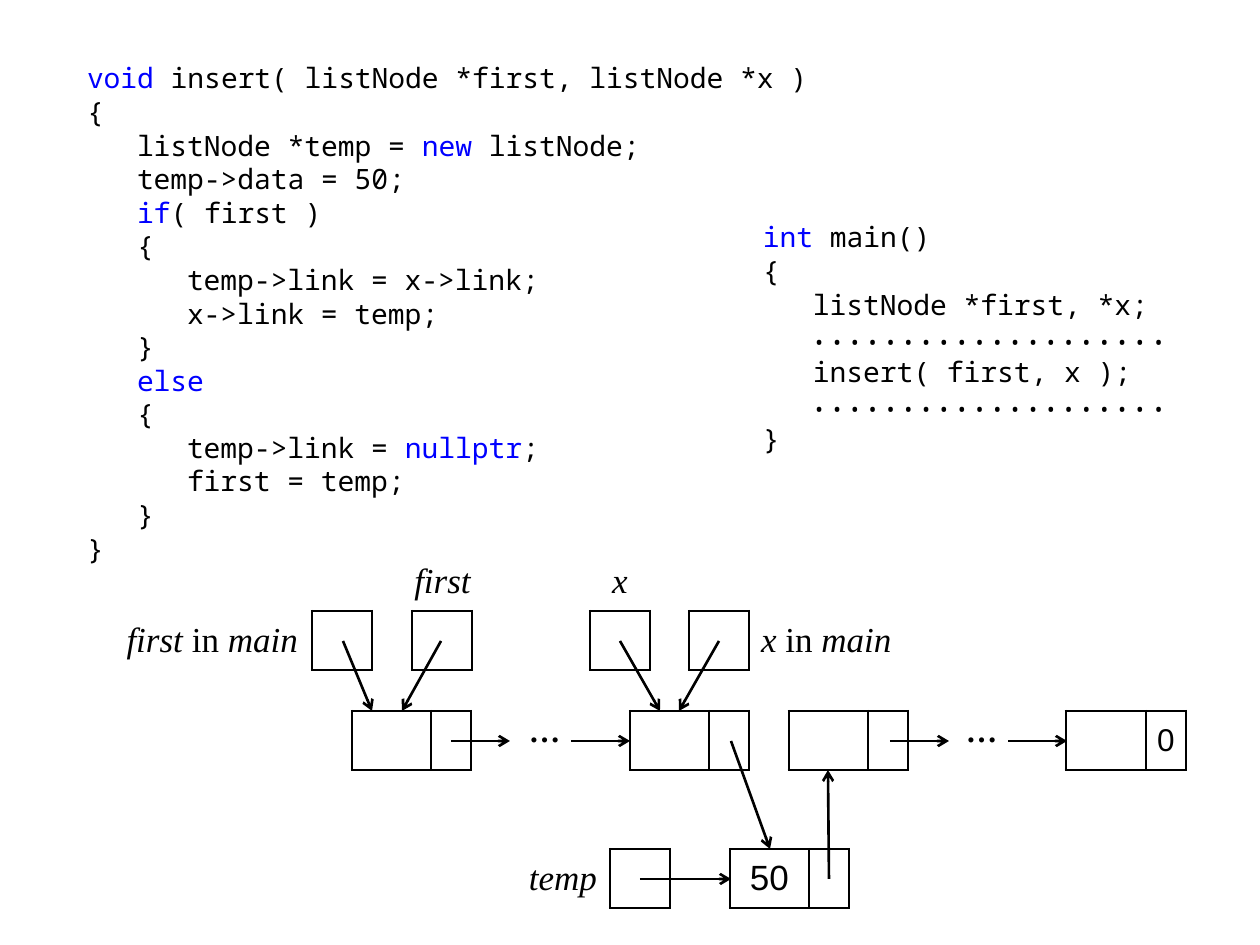
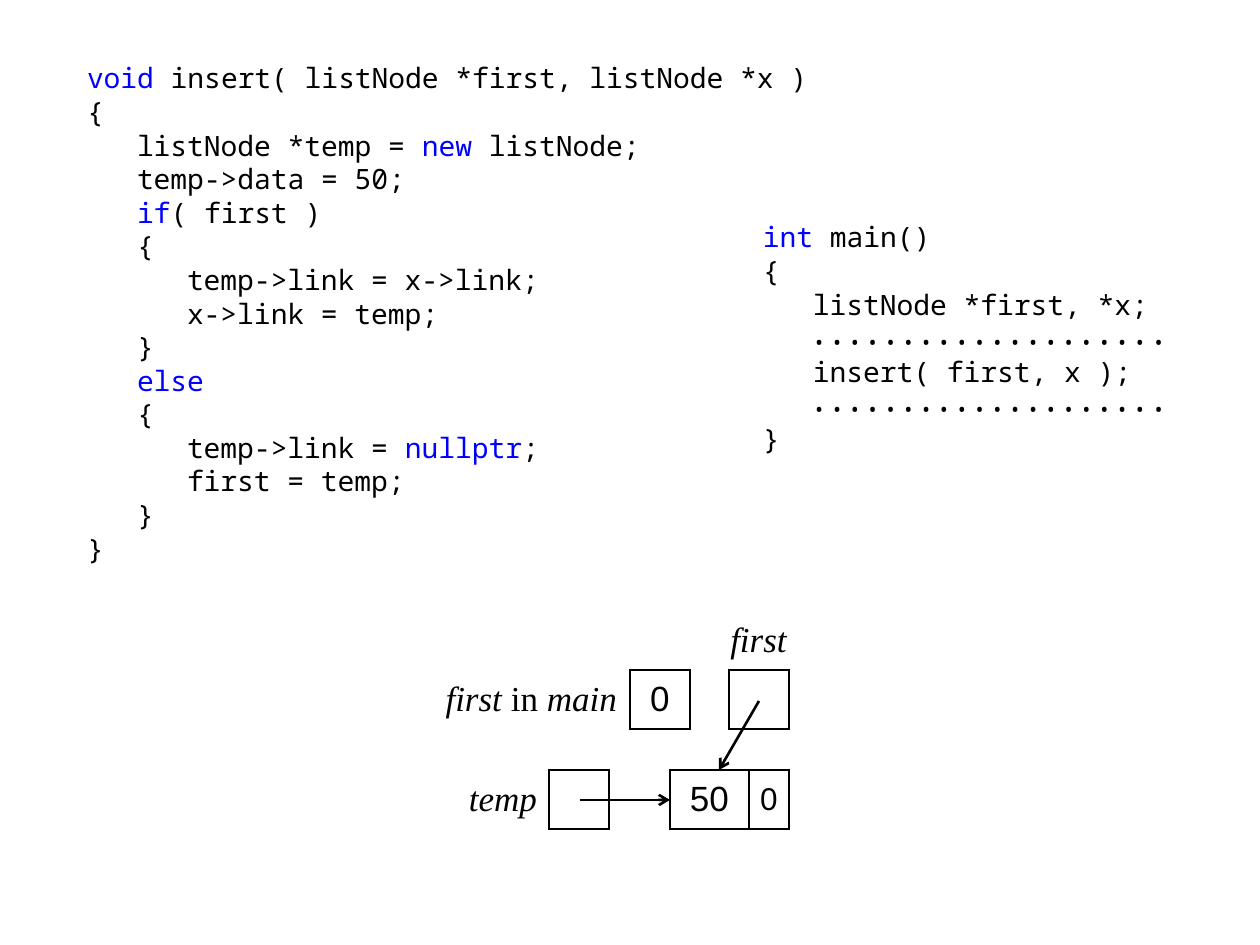
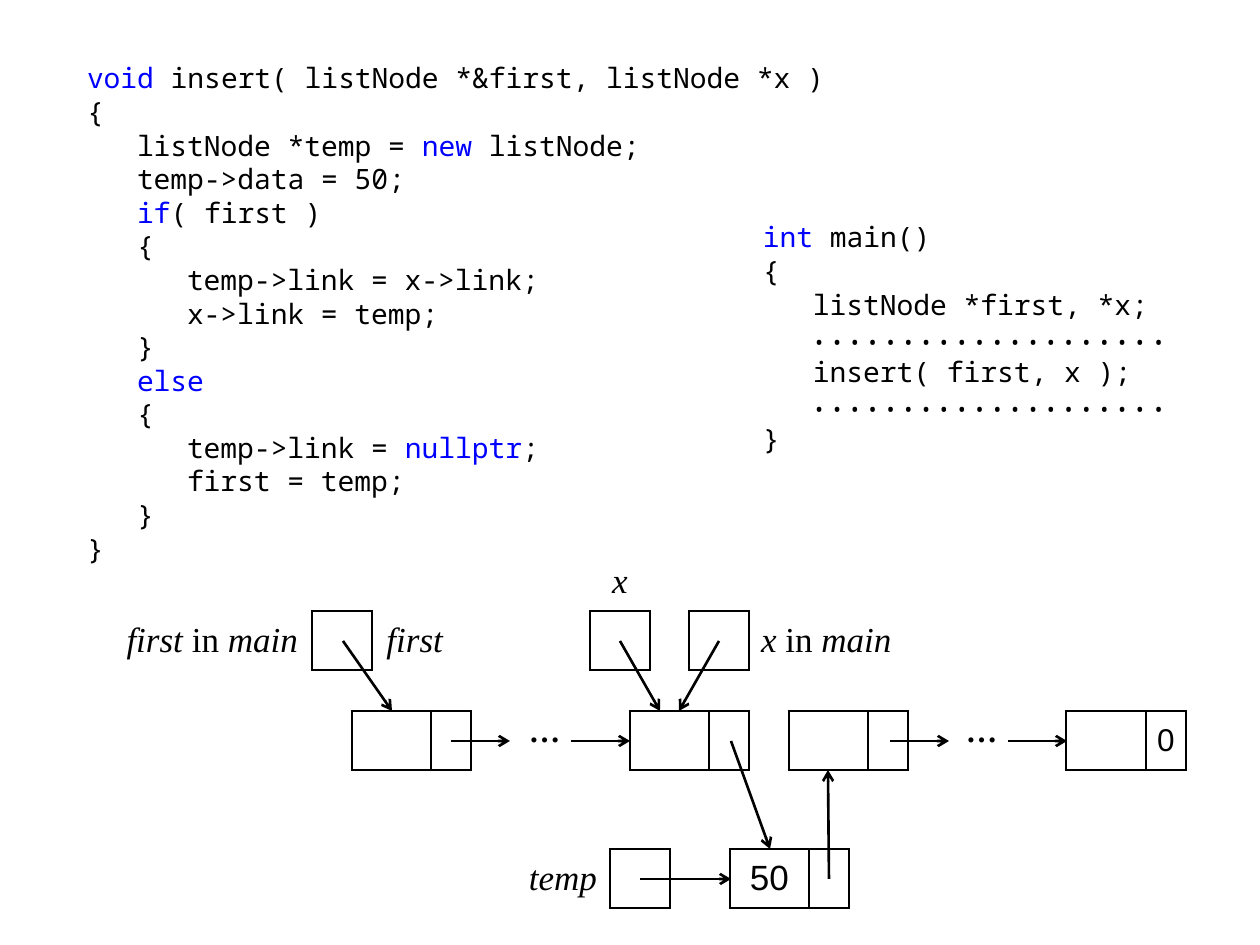
from lxml.etree import SubElement as Sub
from pptx import Presentation
from pptx.dml.color import RGBColor as Rgb
from pptx.enum.shapes import MSO_CONNECTOR as Link
from pptx.enum.text import MSO_ANCHOR as Anchor, MSO_AUTO_SIZE as Fit, PP_ALIGN as Align
from pptx.oxml.ns import qn
from pptx.util import Pt

PX = 914400 / 126  # EMU in one pixel
INK, BLUE = Rgb(0, 0, 0), Rgb(0, 0, 255)
THEME = {
    "code": {"name": "Noto Sans Mono", "size": Pt(16), "ink": INK},
    "key": {"name": "Noto Sans Mono", "size": Pt(16), "ink": BLUE},
    "dots": {"name": "Noto Sans Mono", "size": Pt(12), "ink": INK},
    "plain": {"name": "Times New Roman", "size": Pt(20), "ink": INK, "italic": False},
    "name": {"name": "Times New Roman", "size": Pt(20), "ink": INK, "italic": True},
    "data": {"name": "Arial", "size": Pt(20), "ink": INK, "bold": False},
    "link": {"name": "Arial", "size": Pt(18), "ink": INK, "bold": False},
    "gap": {"name": "Times New Roman", "size": Pt(18), "ink": INK, "bold": True},
    "line": Pt(1.5),
    "pitch": Pt(19.2),
}
SIDES = ("left", "top", "right", "bottom")
ROW = 59  # height of every node
TAB = 50  # one step of code indent


def emu(*nums):
    """Turn pixels into a list of EMU lengths."""
    return [round(n * PX) for n in nums]


def write(par, text, base, alt):
    """Add text in style base; parts between ~ marks take style alt."""
    for i, part in enumerate(text.split("~")):
        if part:
            run = par.add_run()
            run.text = part
            for key, val in THEME[alt if i % 2 else base].items():
                if key == "ink":
                    run.font.color.rgb = val
                else:
                    setattr(run.font, key, val)


INSERT = """~void~ insert( listNode *REFfirst, listNode *x )
{
   listNode *temp = ~new ~listNode;
   temp->data = 50;
   ~if~( first )
   {
      temp->link = x->link;
      x->link = temp;
   }
   ~else~
   {
      temp->link = ~nullptr~;
      first = temp;
   }
}"""
DOTS = "•" * 19 + "~•"
MAIN = f"""~int~ main()
{{
   listNode *first, *x;
   {DOTS}
   insert( first, x );
   {DOTS}
}}"""

# Grids: left, top, column widths, text by column (None is an empty gap)
# Labels: left, top, width, text, alignment
# Arrows: from x, y to x, y
CHAIN = [79, 40, 159, 79, 40, 40, 79, 40, 158, 80, 40]
full = {
    "grids": [
        (352, 711, CHAIN, {2: "…", 5: None, 8: "…", 10: "0"}),
        (730, 849, [79, 40], {0: "50"}),
        (312, 611, [60], {}),
        (590, 611, [60], {}),
        (689, 611, [60], {}),
        (610, 849, [60], {}),
    ],
    "labels": [
        (590, 552, 60, "~x~", Align.CENTER),
        (510, 849, 100, "~temp~", Align.RIGHT),
        (113, 611, 198, "~first~ in ~main~", Align.RIGHT),
        (748, 611, 159, "~x~ in ~main~", Align.LEFT),
    ],
    "arrows": [
        *[(x, 741, x + 59, 741) for x in (451, 571, 890, 1008)],
        (829, 879, 828, 770),
        (731, 741, 770, 849),
        (620, 641, 660, 711),
        (719, 641, 679, 711),
        (640, 879, 731, 879),
    ],
}
by_value = {
    "ref": "",
    "grids": full["grids"] + [(412, 611, [60], {})],
    "labels": full["labels"] + [(402, 552, 81, "~first~", Align.CENTER)],
    "arrows": full["arrows"] + [(343, 641, 372, 711), (441, 641, 402, 711)],
}
empty = {
    "ref": "",
    "grids": [
        (670, 770, [79, 40], {0: "50", 1: "0"}),
        (630, 670, [60], {0: "0"}),
        (549, 770, [60], {}),
        (729, 670, [60], {}),
    ],
    "labels": [
        (718, 611, 81, "~first~", Align.CENTER),
        (450, 770, 100, "~temp~", Align.RIGHT),
        (432, 670, 198, "~first~ in ~main~", Align.RIGHT),
    ],
    "arrows": [(580, 800, 670, 800), (759, 701, 719, 770)],
}
by_ref = {
    "ref": "&",
    "grids": full["grids"],
    "labels": full["labels"] + [(372, 611, 84, "~first~", Align.RIGHT)],
    "arrows": full["arrows"] + [(343, 641, 392, 711)],
}

deck = Presentation()
deck.slide_width, deck.slide_height = emu(1260, 945)

for scene in (by_value, empty, by_ref):
    slide = deck.slides.add_slide(deck.slide_layouts[3])
    title, *bodies = slide.placeholders
    title._element.getparent().remove(title._element)

    # Code in the two body placeholders
    codes = (INSERT.replace("REF", scene["ref"]), MAIN)
    spots = ((74, 55, 774, 517), (750, 214, 436, 258))
    for body, code, spot in zip(bodies, codes, spots):
        body.left, body.top, body.width, body.height = emu(*spot)
        frame = body.text_frame
        frame.auto_size, frame.word_wrap = Fit.NONE, True
        frame.vertical_anchor = Anchor.TOP
        for side, inset in zip(SIDES, emu(13, 6, 5, 6)):
            setattr(frame, "margin_" + side, inset)
        for i, line in enumerate(code.split("\n")):
            par = frame.add_paragraph() if i else frame.paragraphs[0]
            form = {"line_spacing": THEME["pitch"], "space_before": Pt(0),
                    "space_after": Pt(0), "alignment": Align.LEFT}
            for key, val in form.items():
                setattr(par, key, val)
            text = line.lstrip()
            depth = (len(line) - len(text)) // 3
            props = par._p.get_or_add_pPr()
            props.set("marL", str(emu(TAB * depth)[0]))
            props.set("indent", "0")
            Sub(props, qn("a:buNone"))
            if text == DOTS:
                write(par, text, "dots", "dots")
                par.runs[0]._r.get_or_add_rPr().set("spc", "300")
            else:
                write(par, text, "code", "key")

    # Nodes and pointers as one-row tables
    for left, top, cols, texts in scene["grids"]:
        place = emu(left, top, sum(cols), ROW)
        table = slide.shapes.add_table(1, len(cols), *place).table
        table.first_row = table.horz_banding = False
        for i, width in enumerate(cols):
            table.columns[i].width = emu(width)[0]
            cell, text = table.cell(0, i), texts.get(i, "")
            gap = text in ("…", None)
            props = cell._tc.get_or_add_tcPr()
            for side in "LRTB":
                edge = Sub(props, qn("a:ln" + side), w=str(THEME["line"]))
                if gap and side in "TB":
                    Sub(edge, qn("a:noFill"))
                else:
                    fill = Sub(edge, qn("a:solidFill"))
                    Sub(fill, qn("a:srgbClr"), val=str(INK))
            cell.fill.background()
            for side, inset in zip(SIDES, emu(5, 3 if gap else 6, 5, 6)):
                setattr(cell, "margin_" + side, inset)
            par = cell.text_frame.paragraphs[0]
            if gap:
                par._p.get_or_add_pPr().set("marL", str(emu(53)[0]))
                write(par, text or "", "gap", "gap")
            else:
                cell.vertical_anchor = Anchor.MIDDLE
                par.alignment = Align.CENTER
                write(par, text, "link" if width == 40 else "data", "data")

    # Names of the pointers
    for left, top, width, text, align in scene["labels"]:
        frame = slide.shapes.add_textbox(*emu(left, top, width, ROW)).text_frame
        frame.word_wrap = True
        insets = emu(13 * (align == Align.LEFT), 6, 13 * (align == Align.RIGHT), 6)
        for side, inset in zip(SIDES, insets):
            setattr(frame, "margin_" + side, inset)
        par = frame.paragraphs[0]
        par.alignment = align
        write(par, text, "plain", "name")

    # Links
    for ends in scene["arrows"]:
        arrow = slide.shapes.add_connector(Link.STRAIGHT, *emu(*ends))
        arrow.line.color.rgb, arrow.line.width = INK, THEME["line"]
        Sub(arrow.line._get_or_add_ln(), qn("a:tailEnd"), type="arrow")
        Sub(arrow._element.spPr, qn("a:effectLst"))

deck.save("out.pptx")
